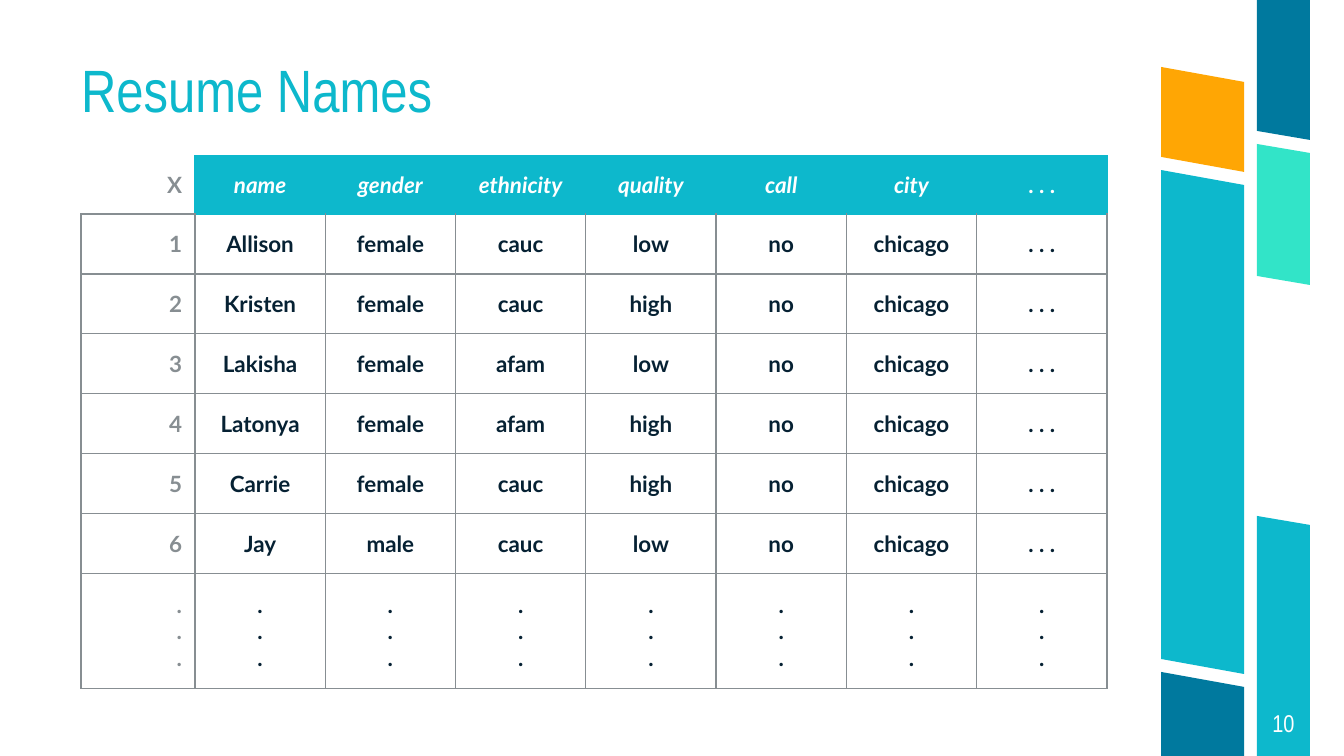
"""Build the Resume Names slide: a data table beside slanted colour bands."""
from lxml.etree import SubElement
from pptx import Presentation
from pptx.dml.color import RGBColor
from pptx.enum.text import MSO_ANCHOR as Anchor, MSO_AUTO_SIZE as AutoSize, PP_ALIGN as Align
from pptx.oxml.ns import qn
from pptx.util import Pt

PX = 914400 / 134.4
WIDTH, HEIGHT = 1344, 756
TEAL, NAVY, ORANGE, MINT = "0DB8CC", "00799E", "FFA604", "32E4C8"
GREY, INK, WHITE = "878E92", "062133", "FFFFFF"
HEADING_FONT, BODY_FONT = "Arial Narrow", "Lato"

TITLE = "Resume Names"
PAGE_NUMBER = "10"
HEADER = ["X", "name", "gender", "ethnicity", "quality", "call", "city", ". . ."]
PEOPLE = [
    ("Allison", "female", "cauc", "low"),
    ("Kristen", "female", "cauc", "high"),
    ("Lakisha", "female", "afam", "low"),
    ("Latonya", "female", "afam", "high"),
    ("Carrie", "female", "cauc", "high"),
    ("Jay", "male", "cauc", "low"),
]
SHARED = ("no", "chicago", ". . .")
ROWS = [HEADER]
ROWS += [(str(number), *person, *SHARED) for number, person in enumerate(PEOPLE, 1)]
ROWS += [[".\n.\n."] * len(HEADER)]

BAND_COLUMNS = [
    {"left": 1161, "right": 1244, "slant": 15,
     "bands": [(67, 157, ORANGE), (170, 659, TEAL), (672, HEIGHT, NAVY)]},
    {"left": 1257, "right": 1310, "slant": 9,
     "bands": [(0, 131, NAVY), (144, 276, MINT), (516, HEIGHT, TEAL)]},
]
TABLE_LEFT, TABLE_TOP = 81, 156
INDEX_WIDTH, DATA_WIDTH = 114, 912
ROW_HEIGHTS = [58] + [60] * len(PEOPLE) + [115]
CELL_MARGIN = 13
PLAIN_STYLE = "{2D5ABB26-0587-4C30-8999-92F81FD0307C}"


def px(length):
    return round(length * PX)


def colour(value):
    return RGBColor.from_string(value)


def add_span(para, text, size, font, shade, bold=False, italic=False):
    span = para.add_run()
    span.text = text
    span.font.size, span.font.name = Pt(size), font
    span.font.bold, span.font.italic = bold, italic
    span.font.color.rgb = colour(shade)


def prepare_frame(frame, anchor):
    frame.word_wrap, frame.auto_size = True, AutoSize.NONE
    frame.vertical_anchor = anchor
    frame.margin_left = frame.margin_right = frame.margin_top = frame.margin_bottom = 0
    return frame.paragraphs[0]


def place(box, left, top, width, height):
    box.left, box.top, box.width, box.height = map(px, (left, top, width, height))


def add_band(page, column, top, bottom, shade):
    left, right = column["left"], column["right"]

    def right_end(y):
        return y + column["slant"] if 0 < y < HEIGHT else y

    outline = page.shapes.build_freeform(left, top, scale=PX)
    outline.add_line_segments(
        [(right, right_end(top)), (right, right_end(bottom)), (left, bottom)], close=True)
    band = outline.convert_to_shape()
    band.shadow.inherit = False
    band.fill.solid()
    band.fill.fore_color.rgb = colour(shade)
    band.line.fill.background()


def set_borders(cell, borders):
    properties = cell._tc.get_or_add_tcPr()
    for position, (side, shade) in enumerate(borders.items()):
        line = SubElement(properties, qn(f"a:ln{side}"), w=str(Pt(0.75)))
        if shade:
            fill = SubElement(line, qn("a:solidFill"))
            SubElement(fill, qn("a:srgbClr"), val=shade)
        else:
            SubElement(line, qn("a:noFill"))
        properties.insert(position, line)


def cell_borders(row, column):
    if row == 0 and column == 0:
        return {"L": None, "R": TEAL, "T": None, "B": GREY}
    if row == 0:
        return dict.fromkeys("LRTB", TEAL)
    top = TEAL if row == 1 and column else GREY
    return {"L": GREY, "R": GREY, "T": top, "B": GREY}


def fill_cell(cell, text, row, column):
    is_header, is_index = row == 0, column == 0
    cell.vertical_anchor = Anchor.MIDDLE
    cell.margin_left = cell.margin_right = px(CELL_MARGIN)
    cell.margin_top = cell.margin_bottom = px(CELL_MARGIN)
    if is_header and not is_index:
        cell.fill.solid()
        cell.fill.fore_color.rgb = colour(TEAL)
    else:
        cell.fill.background()
    set_borders(cell, cell_borders(row, column))
    shade = GREY if is_index else WHITE if is_header else INK
    italic = is_header and 0 < column < len(HEADER) - 1
    frame = cell.text_frame
    for number, line in enumerate(text.split("\n")):
        para = frame.add_paragraph() if number else frame.paragraphs[0]
        para.alignment = Align.RIGHT if is_index else Align.CENTER
        add_span(para, line, 12, BODY_FONT, shade, bold=True, italic=italic)


def add_name_table(page):
    box = page.shapes.add_table(
        len(ROWS), len(HEADER), px(TABLE_LEFT), px(TABLE_TOP),
        px(INDEX_WIDTH + DATA_WIDTH), px(sum(ROW_HEIGHTS)))
    table = box.table
    table.first_row = table.horz_banding = False
    table._tbl.tblPr.find(qn("a:tableStyleId")).text = PLAIN_STYLE
    data_width = DATA_WIDTH / (len(HEADER) - 1)
    for number, column in enumerate(table.columns):
        column.width = px(data_width if number else INDEX_WIDTH)
    for row, height in zip(table.rows, ROW_HEIGHTS):
        row.height = px(height)
    for row, texts in enumerate(ROWS):
        for column, text in enumerate(texts):
            fill_cell(table.cell(row, column), text, row, column)


def main():
    deck = Presentation()
    deck.slide_width, deck.slide_height = px(WIDTH), px(HEIGHT)
    page = deck.slides.add_slide(deck.slide_layouts[5])

    for column in BAND_COLUMNS:
        for band in column["bands"]:
            add_band(page, column, *band)

    title = page.shapes.title
    place(title, 81, 67, 898, 58)
    para = prepare_frame(title.text_frame, Anchor.BOTTOM)
    para.alignment, para.line_spacing = Align.LEFT, 0.9
    add_span(para, TITLE, 32, HEADING_FONT, TEAL)

    number_box = page.shapes.add_textbox(0, 0, 0, 0)
    place(number_box, 1257, 689, 53, 67)
    para = prepare_frame(number_box.text_frame, Anchor.MIDDLE)
    para.alignment = Align.CENTER
    add_span(para, PAGE_NUMBER, 13, HEADING_FONT, WHITE)

    add_name_table(page)
    deck.save("out.pptx")


if __name__ == "__main__":
    main()
